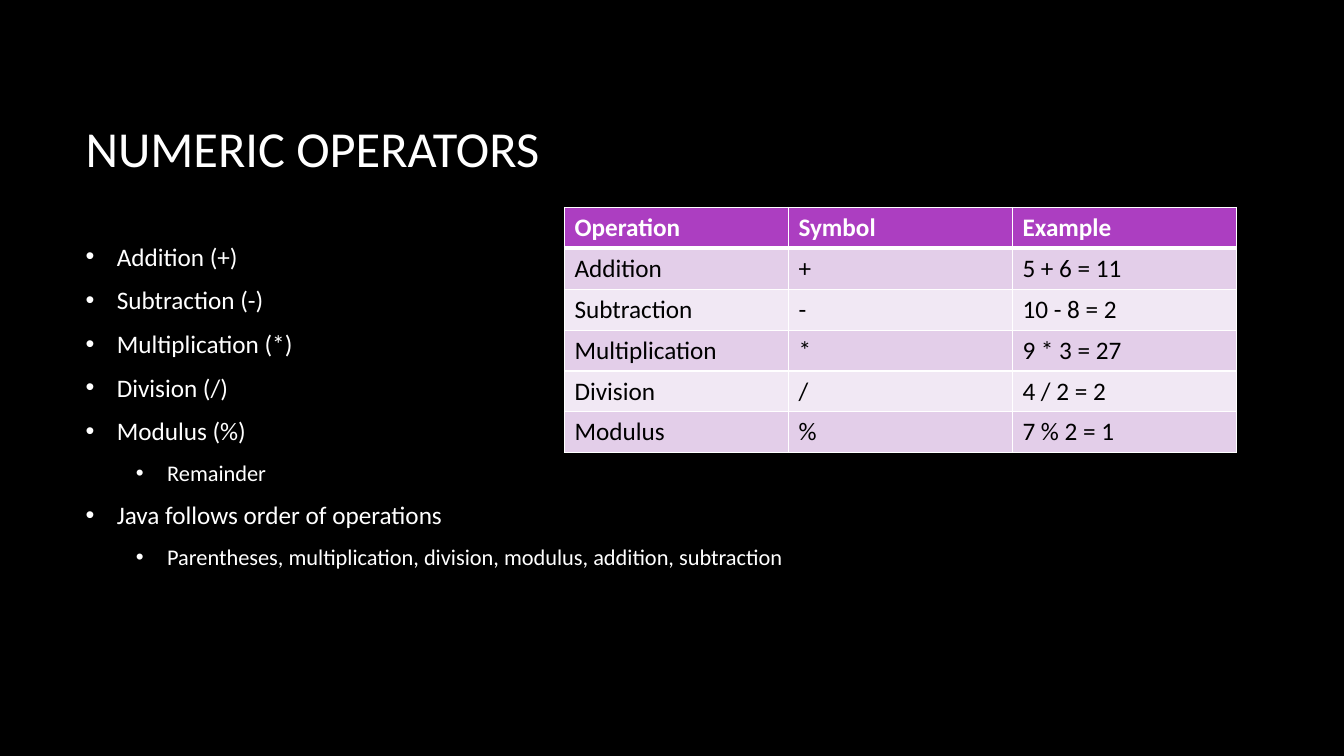
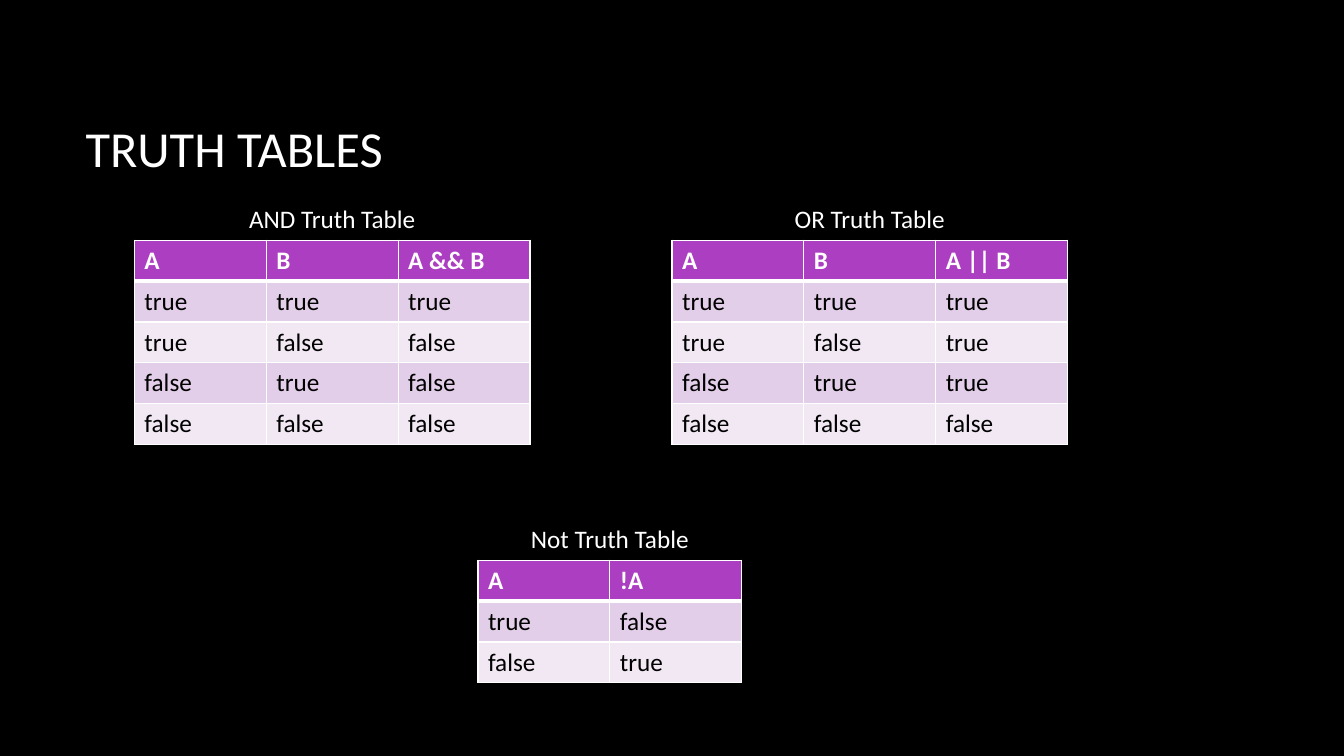
from lxml import etree
from pptx import Presentation
from pptx.dml.color import RGBColor
from pptx.enum.text import MSO_ANCHOR, PP_ALIGN
from pptx.oxml.ns import qn
from pptx.util import Emu, Inches, Pt

MIDDLE, TOP = MSO_ANCHOR.MIDDLE, MSO_ANCHOR.TOP
LEFT, CENTER = PP_ALIGN.LEFT, PP_ALIGN.CENTER

COLORS = {
    "background": "000000",
    "light": "FFFFFF",
    "dark": "000000",
    "header": "AC3EC1",
    "odd_row": "E3CEE9",
    "even_row": "F1E8F4",
}
FONT = "Calibri"
FORMATS = {
    "title": {"size": Pt(36), "bold": False},
    "text": {"size": Pt(18), "bold": False},
    "detail": {"size": Pt(16), "bold": False},
    "header": {"size": Pt(18), "bold": True},
}

# The slide is a grid of 160 columns and 90 rows
GRID_COLUMNS, GRID_ROWS = 160, 90
MARGIN, CONTENT_WIDTH = 9, 133
TABLE_ROW = 4.87
CAPTION_RISE = 5


class Deck:
    """Shared style and the slide being built."""

    def __init__(self):
        self.prs = Presentation()
        self.prs.slide_width = Inches(13.33)
        self.prs.slide_height = Inches(7.5)
        self.slide = None

    def x(self, columns):
        return Emu(round(self.prs.slide_width * columns / GRID_COLUMNS))

    def y(self, rows):
        return Emu(round(self.prs.slide_height * rows / GRID_ROWS))

    def box(self, left, top, width, height):
        return self.x(left), self.y(top), self.x(width), self.y(height)

    def new_slide(self, title):
        self.slide = self.prs.slides.add_slide(self.prs.slide_layouts[6])
        backdrop = self.slide.background.fill
        backdrop.solid()
        backdrop.fore_color.rgb = RGBColor.from_string(COLORS["background"])
        frame = self.frame(MARGIN, 8, CONTENT_WIDTH, 19, MIDDLE)
        self.add_text(frame.paragraphs[0], title, "title")

    def frame(self, left, top, width, height, anchor=TOP):
        frame = self.slide.shapes.add_textbox(
            *self.box(left, top, width, height)).text_frame
        frame.word_wrap = True
        frame.vertical_anchor = anchor
        return frame

    def add_text(self, paragraph, text, style, color="light", align=LEFT):
        paragraph.alignment = align
        run = paragraph.add_run()
        run.text = text
        run.font.name = FONT
        run.font.color.rgb = RGBColor.from_string(COLORS[color])
        for attribute, value in FORMATS[style].items():
            setattr(run.font, attribute, value)

    def bullets(self, left, top, width, height, items):
        frame = self.frame(left, top, width, height)
        for index, (level, text) in enumerate(items):
            paragraph = frame.add_paragraph() if index else frame.paragraphs[0]
            self.add_text(paragraph, text, "detail" if level else "text")
            paragraph.level = level
            paragraph.space_after = Pt(9.6)
            # Hanging bullet, half an inch deeper on each level
            props = paragraph._p.get_or_add_pPr()
            hang = Inches(0.31)
            props.set("marL", str(hang + level * Inches(0.5)))
            props.set("indent", str(-hang))
            etree.SubElement(props, qn("a:buFont"), typeface="Arial")
            etree.SubElement(props, qn("a:buChar"), char="•")

    def border(self, cell, side, points):
        line = etree.SubElement(cell._tc.get_or_add_tcPr(), qn(f"a:ln{side}"),
                                w=str(Pt(points)))
        fill = etree.SubElement(line, qn("a:solidFill"))
        etree.SubElement(fill, qn("a:srgbClr"), val=COLORS["light"])

    def table(self, left, top, column_width, rows):
        count = len(rows[0])
        table = self.slide.shapes.add_table(
            len(rows), count,
            *self.box(left, top, count * column_width,
                      len(rows) * TABLE_ROW)).table
        table.horz_banding = False
        for column in table.columns:
            column.width = self.x(column_width)
        for row_index, values in enumerate(rows):
            table.rows[row_index].height = self.y(TABLE_ROW)
            is_header = row_index == 0
            band = "odd_row" if row_index % 2 else "even_row"
            # A heavy rule parts the header from the body
            widths = {"L": 1, "R": 1, "T": 3 if row_index == 1 else 1,
                      "B": 3 if is_header else 1}
            for column_index, value in enumerate(values):
                cell = table.cell(row_index, column_index)
                for side, points in widths.items():
                    self.border(cell, side, points)
                cell.fill.solid()
                cell.fill.fore_color.rgb = RGBColor.from_string(
                    COLORS["header" if is_header else band])
                self.add_text(cell.text_frame.paragraphs[0], value,
                              "header" if is_header else "text",
                              "light" if is_header else "dark")

    def captioned_table(self, caption, left, top, column_width, rows):
        frame = self.frame(left, top - CAPTION_RISE,
                           column_width * len(rows[0]), TABLE_ROW)
        self.add_text(frame.paragraphs[0], caption, "text", align=CENTER)
        self.table(left, top, column_width, rows)


def numeric_operators(deck):
    deck.new_slide("NUMERIC OPERATORS")
    deck.bullets(MARGIN, 28.1, CONTENT_WIDTH, 48, [
        (0, "Addition (+)"),
        (0, "Subtraction (-)"),
        (0, "Multiplication (*)"),
        (0, "Division (/)"),
        (0, "Modulus (%)"),
        (1, "Remainder"),
        (0, "Java follows order of operations"),
        (1, "Parentheses, multiplication, division, modulus, addition, "
            "subtraction"),
    ])
    deck.table(67.2, 24.7, 26.67, [
        ("Operation", "Symbol", "Example"),
        ("Addition", "+", "5 + 6 = 11"),
        ("Subtraction", "-", "10 - 8 = 2"),
        ("Multiplication", "*", "9 * 3 = 27"),
        ("Division", "/", "4 / 2 = 2"),
        ("Modulus", "%", "7 % 2 = 1"),
    ])


def truth_tables(deck):
    deck.new_slide("TRUTH TABLES")
    column_width = 15.7

    def word(value):
        return str(value).lower()

    # Every pair of inputs, with the result of each operator
    pairs = [(a, b) for a in (True, False) for b in (True, False)]
    and_rows = [(word(a), word(b), word(a and b)) for a, b in pairs]
    or_rows = [(word(a), word(b), word(a or b)) for a, b in pairs]
    not_rows = [(word(a), word(not a)) for a in (True, False)]

    for caption, left, top, header, rows in (
        ("AND Truth Table", 16, 28.6, ("A", "B", "A && B"), and_rows),
        ("OR Truth Table", 80, 28.6, ("A", "B", "A || B"), or_rows),
        ("Not Truth Table", 56.9, 66.7, ("A", "!A"), not_rows),
    ):
        deck.captioned_table(caption, left, top, column_width,
                             [header, *rows])


def main():
    deck = Deck()
    numeric_operators(deck)
    truth_tables(deck)
    deck.prs.save("out.pptx")


if __name__ == "__main__":
    main()
